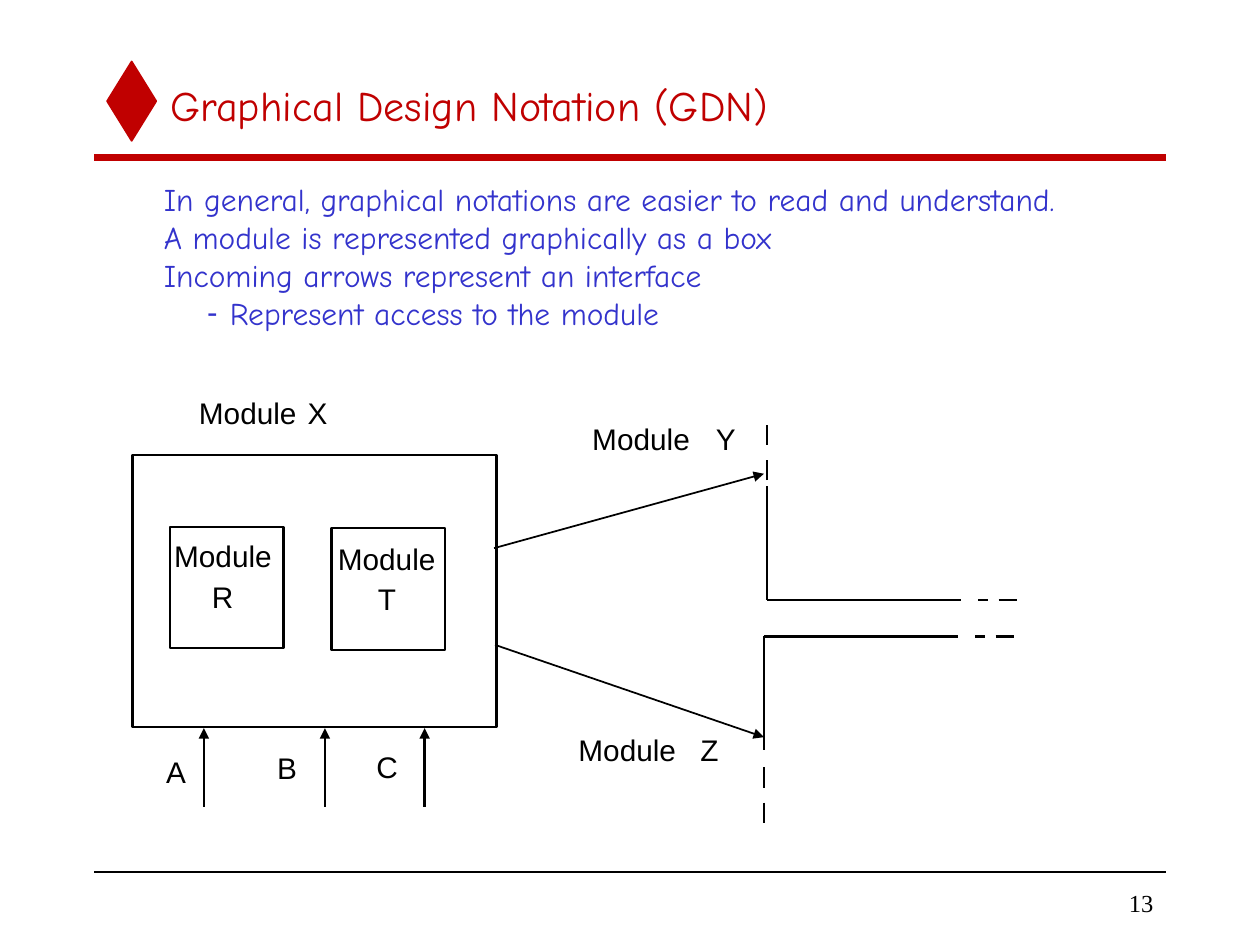
from dataclasses import dataclass

from lxml.etree import SubElement
from pptx import Presentation
from pptx.dml.color import RGBColor as Rgb
from pptx.enum.shapes import MSO_CONNECTOR as Link, MSO_SHAPE as Form
from pptx.enum.text import MSO_ANCHOR as Anchor, MSO_AUTO_SIZE as Fit, PP_ALIGN as Align
from pptx.oxml.ns import qn
from pptx.util import Cm, Pt


@dataclass(frozen=True)
class Theme:
    """Hold the colours, type styles and line widths."""
    red: Rgb = Rgb(0xC0, 0x00, 0x00)
    blue: Rgb = Rgb(0x33, 0x33, 0xCC)
    black: Rgb = Rgb(0, 0, 0)
    white: Rgb = Rgb(255, 255, 255)
    head: tuple = ("Comic Neue", 24)
    body: tuple = ("Comic Neue", 18)
    label: tuple = ("Arial", 17)
    page: tuple = ("Times New Roman", 14)
    thin: float = 1
    pen: float = 1.39
    bar: float = 4


LOOK = Theme()
POINTS = [
    ("In general, graphical notations are easier to read and understand.", False),
    ("A module is represented graphically as a box", False),
    ("Incoming arrows represent an interface", False),
    ("Represent access to the module", True),
]
BOXES = [(2.67, 9.17, 7.34, 5.49), (3.43, 10.62, 2.29, 2.44), (6.68, 10.64, 2.29, 2.46)]
NAMES = [
    ("Module", 4.01, 7.95), ("X", 6.2, 7.95),
    ("Module", 11.94, 8.48), ("Y", 14.43, 8.48),
    ("Module", 11.66, 14.76), ("Z", 14.12, 14.76),
    ("Module", 3.51, 10.85), ("R", 4.27, 11.66),
    ("Module", 6.81, 10.9), ("T", 7.62, 11.71),
]
PORTS = [("A", 3.35, 15.19, 4.11), ("B", 5.59, 15.12, 6.55), ("C", 7.59, 15.09, 8.56)]


def apply(item, **values):
    """Set each given attribute on an object."""
    for key, value in values.items():
        setattr(item, key, value)


def place(shape, x, y, wide, high):
    """Move and size a shape in centimetres."""
    apply(shape, left=Cm(x), top=Cm(y), width=Cm(wide), height=Cm(high))


def write(para, text, style, color, align=Align.LEFT):
    """Write one styled paragraph."""
    apply(para, alignment=align, space_before=Pt(0))
    run = para.add_run()
    run.text = text
    name, size = style
    apply(run.font, name=name, size=Pt(size))
    run.font.color.rgb = color


def bullet(para, dash):
    """Give a paragraph a dash bullet with an indent, or no bullet."""
    props = para._p.get_or_add_pPr()
    left, hang = (Cm(1.33), Cm(-0.46)) if dash else (0, 0)
    props.set("marL", str(left))
    props.set("indent", str(hang))
    if dash:
        SubElement(props, qn("a:buChar")).set("char", "-")
    else:
        SubElement(props, qn("a:buNone"))


def title(slide, text):
    """Fill the title placeholder."""
    shape = slide.shapes.title
    place(shape, 3.18, 1.27, 20.32, 1.7)
    apply(shape.text_frame, vertical_anchor=Anchor.MIDDLE, auto_size=Fit.NONE)
    write(shape.text_frame.paragraphs[0], text, LOOK.head, LOOK.red)


def points(slide, rows):
    """Fill the body placeholder with the list."""
    shape = slide.placeholders[1]
    place(shape, 3.05, 3.51, 18.57, 3.3)
    frame = shape.text_frame
    apply(frame, vertical_anchor=Anchor.TOP, auto_size=Fit.NONE, word_wrap=False)
    for at, (text, dash) in enumerate(rows):
        para = frame.add_paragraph() if at else frame.paragraphs[0]
        write(para, text, LOOK.body, LOOK.blue)
        bullet(para, dash)


def label(slide, text, x, y):
    """Add a short diagram label."""
    wide = 1.98 if len(text) > 1 else 0.41
    frame = slide.shapes.add_textbox(Cm(x), Cm(y), Cm(wide), Cm(0.71)).text_frame
    apply(frame, margin_left=0, margin_top=0, margin_right=0, margin_bottom=0,
          word_wrap=False)
    write(frame.paragraphs[0], text, LOOK.label, LOOK.black)


def number(slide, text):
    """Add the page number."""
    frame = slide.shapes.add_textbox(Cm(19.89), Cm(17.78), Cm(3.61), Cm(0.84)).text_frame
    apply(frame, vertical_anchor=Anchor.MIDDLE, word_wrap=True)
    write(frame.paragraphs[0], text, LOOK.page, LOOK.black, Align.RIGHT)


def block(slide, form, spot, fill, edge, width):
    """Add a filled and outlined shape."""
    shape = slide.shapes.add_shape(form, *map(Cm, spot))
    shape.shadow.inherit = False
    shape.fill.solid()
    shape.fill.fore_color.rgb = fill
    shape.line.color.rgb = edge
    shape.line.width = Pt(width)


def line(slide, start, end, width=LOOK.pen, color=LOOK.black, arrow=False):
    """Draw a straight line, with an arrowhead at its end on request."""
    link = slide.shapes.add_connector(Link.STRAIGHT, *map(Cm, (*start, *end)))
    link.line.color.rgb = color
    link.line.width = Pt(width)
    if arrow:
        SubElement(link.line._get_or_add_ln(), qn("a:tailEnd")).set("type", "triangle")
    SubElement(link._element.spPr, qn("a:effectLst"))


def corner(slide, x, y, way, gap):
    """Draw the cut-off corner of a module, opening up (-1) or down (1)."""
    for near, far in ((0, 3.92), (4.26, 4.46), (4.67, 5.04)):
        line(slide, (x + near, y), (x + far, y))
    dash = 2.29 + gap
    for near, far in ((0, 2.29), (dash, dash + 0.41), (dash + 0.71, dash + 1.12)):
        line(slide, (x, y + way * near), (x, y + way * far))


def main():
    """Build and save the slide."""
    deck = Presentation()
    apply(deck, slide_width=Cm(25.4), slide_height=Cm(19.05))
    slide = deck.slides.add_slide(deck.slide_layouts[1])
    block(slide, Form.DIAMOND, (2.16, 1.24, 0.99, 1.6), LOOK.red, LOOK.red, LOOK.thin)
    line(slide, (1.9, 3.18), (23.5, 3.18), LOOK.bar, LOOK.red)
    line(slide, (1.9, 17.58), (23.5, 17.58), LOOK.thin)
    number(slide, "13")
    title(slide, "Graphical Design Notation (GDN)")
    points(slide, POINTS)
    corner(slide, 15.46, 12.09, -1, 0.12)
    corner(slide, 15.4, 12.83, 1, 0.35)
    for spot in BOXES:
        block(slide, Form.RECTANGLE, spot, LOOK.white, LOOK.black, LOOK.pen)
    for text, x, y in NAMES:
        label(slide, text, x, y)
    for text, x, y, port in PORTS:
        label(slide, text, x, y)
        line(slide, (port, 16.26), (port, 14.68), arrow=True)
    line(slide, (9.96, 11.05), (15.4, 9.55), LOOK.thin, arrow=True)
    line(slide, (9.98, 13), (15.4, 14.86), LOOK.thin, arrow=True)
    deck.save("out.pptx")


if __name__ == "__main__":
    main()
